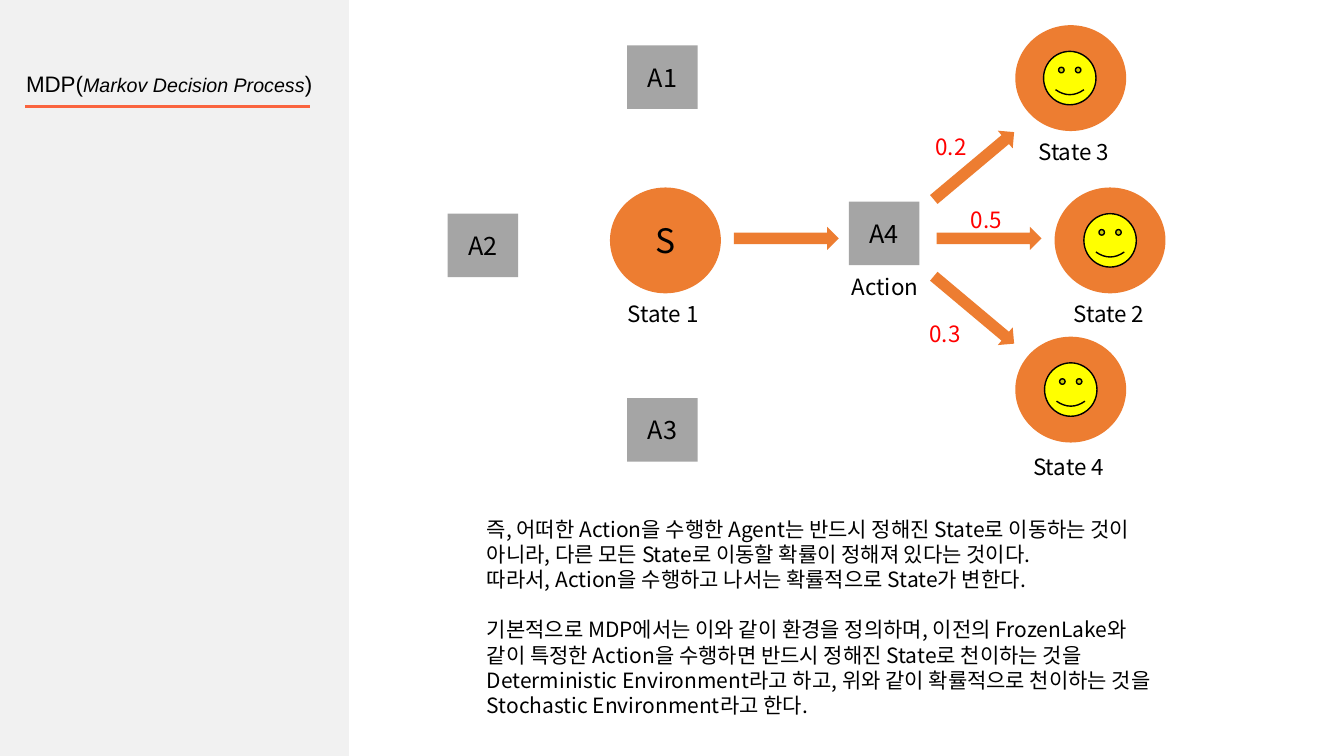
from dataclasses import dataclass

from lxml.etree import SubElement
from pptx import Presentation
from pptx.dml.color import RGBColor
from pptx.enum.shapes import MSO_CONNECTOR as Connector, MSO_SHAPE as Preset
from pptx.enum.text import MSO_ANCHOR as Anchor, PP_ALIGN as Align
from pptx.oxml.ns import qn
from pptx.shapes.autoshape import Shape
from pptx.slide import Slide
from pptx.text.text import _Run as Run
from pptx.util import Inches, Pt

COLORS = {
    "panel": "F1F1F1", "rule": "FA643F", "state": "ED7D31", "action": "A5A5A5",
    "face": "FFFF00", "ink": "000000", "chance": "FF0000",
}
KOREAN_FONT = "Noto Sans CJK KR"
LINE_FACTOR = 1.2
STATE_SIZE = (1.1, 1.05)
ACTION_SIZE = (0.7, 0.63)
ARROW_SIZE = (1.04, 0.23)
FACE_SIZE = (0.52, 0.53)


@dataclass(frozen=True)
class Node:
    preset: Preset
    left: float
    top: float
    size: tuple[float, float]
    fill: str
    text: str = ""
    points: float = 18
    rotation: float = 0
    outline: str = ""


@dataclass(frozen=True)
class Label:
    text: str
    left: float
    top: float
    width: float = 0.93
    color: str = "ink"


def state(left: float, top: float, text: str = "") -> Node:
    return Node(Preset.OVAL, left, top, STATE_SIZE, "state", text, 24)


def action(text: str, left: float, top: float) -> Node:
    return Node(Preset.RECTANGLE, left, top, ACTION_SIZE, "action", text)


def arrow(left: float, top: float, rotation: float = 0) -> Node:
    return Node(Preset.RIGHT_ARROW, left, top, ARROW_SIZE, "state", rotation=rotation)


def face(left: float, top: float) -> Node:
    return Node(Preset.SMILEY_FACE, left, top, FACE_SIZE, "face", outline="ink")


NODES = [
    Node(Preset.RECTANGLE, 0, 0, (3.46, 7.5), "panel"),
    state(6.05, 1.86, "S"), state(10.46, 1.86), state(10.07, 0.25), state(10.07, 3.34),
    action("A1", 6.22, 0.45), action("A2", 4.44, 2.12),
    action("A3", 6.22, 3.95), action("A4", 8.42, 2),
    arrow(7.28, 2.25), arrow(9.29, 2.25), arrow(9.14, 1.53, 320), arrow(9.14, 2.96, 40),
    face(10.35, 0.51), face(10.75, 2.12), face(10.36, 3.6),
]
LABELS = [
    Label("State 1", 6.13, 2.93), Label("State 2", 10.55, 2.93),
    Label("State 3", 10.2, 1.32), Label("State 4", 10.15, 4.45),
    Label("Action", 8.35, 2.66, 1.31),
    Label("0.2", 9.18, 1.27, 0.55, "chance"),
    Label("0.5", 9.53, 2, 0.55, "chance"),
    Label("0.3", 9.12, 3.13, 0.55, "chance"),
]
EXPLANATION = [
    ["즉, 어떠한 Action을 수행한 Agent는 반드시 정해진 State로 이동하는 것이",
     "아니라, 다른 모든 State로 이동할 확률이 정해져 있다는 것이다.",
     "따라서, Action을 수행하고 나서는 확률적으로 State가 변한다."],
    ["기본적으로 MDP에서는 이와 같이 환경을 정의하며, 이전의 FrozenLake와",
     "같이 특정한 Action을 수행하면 반드시 정해진 State로 천이하는 것을",
     "Deterministic Environment라고 하고, 위와 같이 확률적으로 천이하는 것을",
     "Stochastic Environment라고 한다."],
]


def rgb(name: str) -> RGBColor:
    return RGBColor.from_string(COLORS[name])


def style_run(run: Run, points: float, color: str = "ink", font: str = KOREAN_FONT) -> None:
    """Set the font for Latin and East Asian letters alike."""
    run.font.size = Pt(points)
    run.font.color.rgb = rgb(color)
    run.font.name = font
    SubElement(run.font._element, qn("a:ea")).set("typeface", font)


def draw_node(slide: Slide, node: Node) -> None:
    shape = slide.shapes.add_shape(
        node.preset, *map(Inches, (node.left, node.top, *node.size)))
    shape.shadow.inherit = False
    shape.rotation = node.rotation
    shape.fill.solid()
    shape.fill.fore_color.rgb = rgb(node.fill)
    if node.outline:
        shape.line.color.rgb = rgb(node.outline)
        shape.line.width = Pt(1)
    else:
        shape.line.fill.background()
    if node.text:
        shape.text_frame.text = node.text
        shape.text_frame.vertical_anchor = Anchor.MIDDLE
        paragraph = shape.text_frame.paragraphs[0]
        paragraph.alignment = Align.CENTER
        style_run(paragraph.runs[0], node.points)


def add_text_box(slide: Slide, left: float, top: float, width: float, height: float) -> Shape:
    box = slide.shapes.add_textbox(*map(Inches, (left, top, width, height)))
    box.text_frame.word_wrap = True
    return box


def write_lines(box: Shape, lines: list[str], points: float, color: str = "ink") -> None:
    box.text_frame.text = "\n".join(lines)
    for paragraph in box.text_frame.paragraphs:
        paragraph.line_spacing = Pt(points * LINE_FACTOR)
        style_run(paragraph.runs[0], points, color)


def draw_title(slide: Slide) -> None:
    underline = slide.shapes.add_connector(
        Connector.STRAIGHT, *map(Inches, (0.25, 1.06, 3.07, 1.06)))
    underline.line.color.rgb = rgb("rule")
    underline.line.width = Pt(2)
    SubElement(underline._element.spPr, qn("a:effectLst"))

    title = add_text_box(slide, 0.16, 0.65, 3.46, 0.37).text_frame.paragraphs[0]
    for text, points, italic in (
        ("MDP(", 16, False), ("Markov Decision Process", 14, True), (")", 16, False),
    ):
        run = title.add_run()
        run.text = text
        style_run(run, points, font="Arial")
        run.font.italic = italic


def draw_explanation(slide: Slide) -> None:
    points = 15
    box = add_text_box(slide, 4.73, 5.07, 7.24, 2.12)
    write_lines(box, [line for block in EXPLANATION for line in block], points)
    second_block = box.text_frame.paragraphs[len(EXPLANATION[0])]
    second_block.space_before = Pt(points * LINE_FACTOR)


def main() -> None:
    deck = Presentation()
    deck.slide_width, deck.slide_height = Inches(13.33), Inches(7.5)
    slide = deck.slides.add_slide(deck.slide_layouts[6])
    for node in NODES:
        draw_node(slide, node)
    draw_title(slide)
    for label in LABELS:
        box = add_text_box(slide, label.left, label.top, label.width, 0.37)
        write_lines(box, [label.text], 16, label.color)
    draw_explanation(slide)
    deck.save("out.pptx")


if __name__ == "__main__":
    main()
